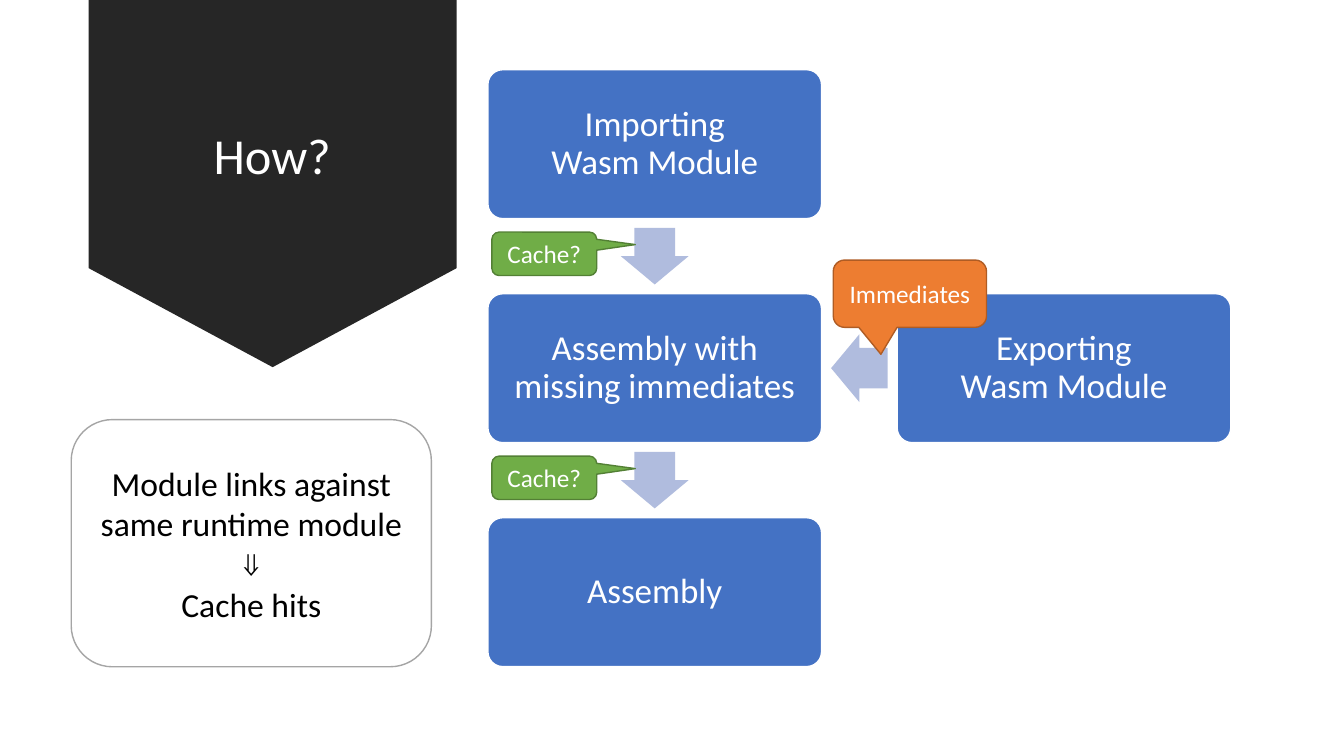
from dataclasses import dataclass
from typing import Optional

import pptx
import pptx.util
import pptx.dml.color
import pptx.enum.shapes
import pptx.enum.text

Preset = pptx.enum.shapes.MSO_SHAPE


@dataclass(frozen=True)
class Theme:
    font: str = "Calibri"
    symbol_font: str = "Times New Roman"
    white: str = "FFFFFF"
    black: str = "000000"
    banner: str = "262626"
    stage: str = "4472C4"
    flow: str = "B0BCDE"
    immediates: str = "ED7D31"
    immediates_edge: str = "AF5C24"
    cache: str = "70AD47"
    cache_edge: str = "538035"
    takeaway_edge: str = "A5A5A5"
    title_size: int = 36
    stage_size: int = 25
    takeaway_size: int = 24
    label_size: int = 18
    edge_width: int = 1


@dataclass(frozen=True)
class Place:
    """Percentages of the slide's width and height."""
    left: float
    top: float
    width: float
    height: float


@dataclass(frozen=True)
class Writing:
    paragraphs: tuple[str, ...]
    size: int
    color: str
    spacing: float = 1.0


@dataclass(frozen=True)
class Part:
    preset: Preset
    place: Place
    fill: str
    edge: Optional[str] = None
    adjustments: tuple[float, ...] = ()
    writing: Optional[Writing] = None


THEME = Theme()
SYMBOLS = {"⇓"}

deck = pptx.Presentation()
deck.slide_width = pptx.util.Inches(13.333)
deck.slide_height = pptx.util.Inches(7.5)
slide = deck.slides.add_slide(deck.slide_layouts[6])

STAGE_LEFT, STAGE_TOP = 36.3, 9.22
STAGE_WIDTH, STAGE_HEIGHT = 24.83, 19.7
COLUMN_PITCH, ROW_PITCH = 30.65 - 0.2, 29.63


def emu(place: Place) -> tuple[int, int, int, int]:
    across, down = deck.slide_width / 100, deck.slide_height / 100
    return (round(place.left * across), round(place.top * down),
            round(place.width * across), round(place.height * down))


def rgb(color: str) -> pptx.dml.color.RGBColor:
    return pptx.dml.color.RGBColor.from_string(color)


def apply(target: object, values: dict[str, object]) -> None:
    for name, value in values.items():
        setattr(target, name, value)


def write(frame: pptx.text.text.TextFrame, writing: Writing) -> None:
    apply(frame, {"word_wrap": True,
                  "vertical_anchor": pptx.enum.text.MSO_ANCHOR.MIDDLE})
    for index, words in enumerate(writing.paragraphs):
        paragraph = frame.add_paragraph() if index else frame.paragraphs[0]
        apply(paragraph, {"text": words, "line_spacing": writing.spacing,
                          "alignment": pptx.enum.text.PP_ALIGN.CENTER})
        face = THEME.symbol_font if words in SYMBOLS else THEME.font
        for run in paragraph.runs:
            apply(run.font, {"name": face, "size": pptx.util.Pt(writing.size)})
            run.font.color.rgb = rgb(writing.color)


def draw(part: Part) -> None:
    shape = slide.shapes.add_shape(part.preset, *emu(part.place))
    shape.shadow.inherit = False
    shape.fill.solid()
    shape.fill.fore_color.rgb = rgb(part.fill)
    if part.edge:
        shape.line.color.rgb = rgb(part.edge)
        shape.line.width = pptx.util.Pt(THEME.edge_width)
    else:
        shape.line.fill.background()
    for index, value in enumerate(part.adjustments):
        shape.adjustments[index] = value
    if part.writing:
        write(shape.text_frame, part.writing)
        if part.writing.size == THEME.stage_size:
            margin = pptx.util.Inches(0.1)
            apply(shape.text_frame, {"margin_top": margin, "margin_bottom": margin})


def stage(words: str, column: int, row: int) -> Part:
    place = Place(STAGE_LEFT + column * COLUMN_PITCH, STAGE_TOP + row * ROW_PITCH,
                  STAGE_WIDTH, STAGE_HEIGHT)
    return Part(Preset.ROUNDED_RECTANGLE, place, THEME.stage, THEME.white, (0.1,),
                Writing((words,), THEME.stage_size, THEME.white, 0.9))


def flow(preset: Preset, column: float, row: float, width: float, height: float) -> Part:
    center_x = STAGE_LEFT + STAGE_WIDTH / 2 + column * COLUMN_PITCH
    center_y = STAGE_TOP + STAGE_HEIGHT / 2 + row * ROW_PITCH
    place = Place(center_x - width / 2, center_y - height / 2, width, height)
    return Part(preset, place, THEME.flow, adjustments=(0.6, 0.5))


def cache(row: int) -> Part:
    return Part(Preset.ROUNDED_RECTANGULAR_CALLOUT,
                Place(36.6, 30.7 + row * ROW_PITCH, 7.8, 5.75),
                THEME.cache, THEME.cache_edge, (0.868, -0.212, 0.167),
                Writing(("Cache?",), THEME.label_size, THEME.white))


def main() -> None:
    draw(Part(Preset.DOWN_ARROW, Place(6.6, -0.1, 27.38, 48.67), THEME.banner,
              adjustments=(1, 0.269)))
    title = slide.shapes.add_textbox(*emu(Place(8.4, 2.8, 23.7, 36.27)))
    write(title.text_frame, Writing(("How?",), THEME.title_size, THEME.white, 0.9))

    parts = [
        stage("Importing\vWasm Module", 0, 0),
        flow(Preset.DOWN_ARROW, 0, 0.5, 5.04, 7.47),
        stage("Assembly with missing immediates", 0, 1),
        flow(Preset.DOWN_ARROW, 0, 1.5, 5.04, 7.47),
        stage("Assembly", 0, 2),
        stage("Exporting\vWasm Module", 1, 1),
        flow(Preset.LEFT_ARROW, 0.5, 1, 4.2, 8.96),
        Part(Preset.ROUNDED_RECTANGULAR_CALLOUT, Place(62, 34.4, 11.4, 8.9),
             THEME.immediates, THEME.immediates_edge, (-0.189, 0.901, 0.167),
             Writing(("Immediates",), THEME.label_size, THEME.white)),
        cache(0),
        cache(1),
        Part(Preset.ROUNDED_RECTANGLE, Place(5.3, 55.5, 26.8, 32.7),
             THEME.white, THEME.takeaway_edge,
             writing=Writing(("Module links against\vsame runtime module", "⇓",
                              "Cache hits"), THEME.takeaway_size, THEME.black)),
    ]
    for part in parts:
        draw(part)
    deck.save("out.pptx")


if __name__ == "__main__":
    main()
